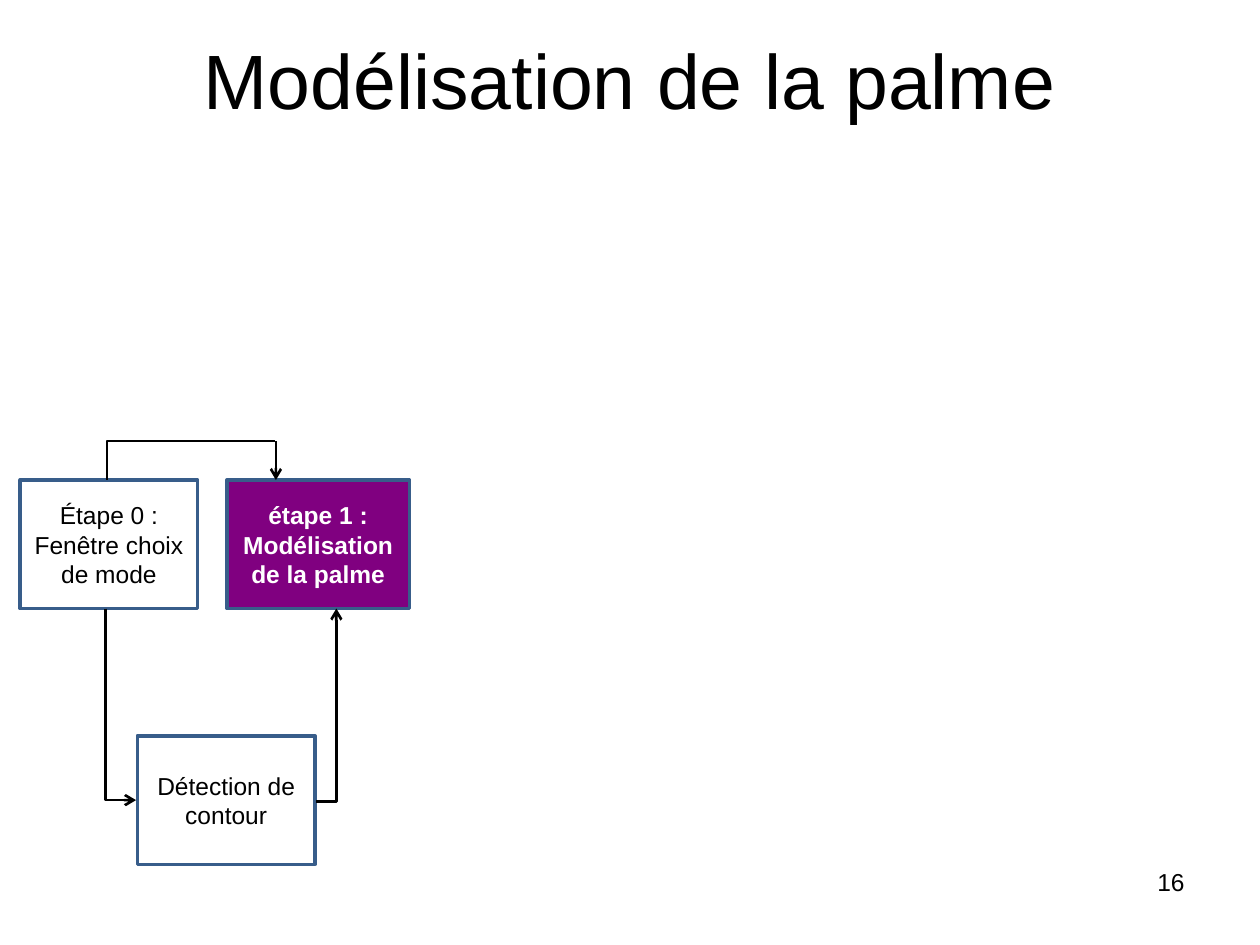
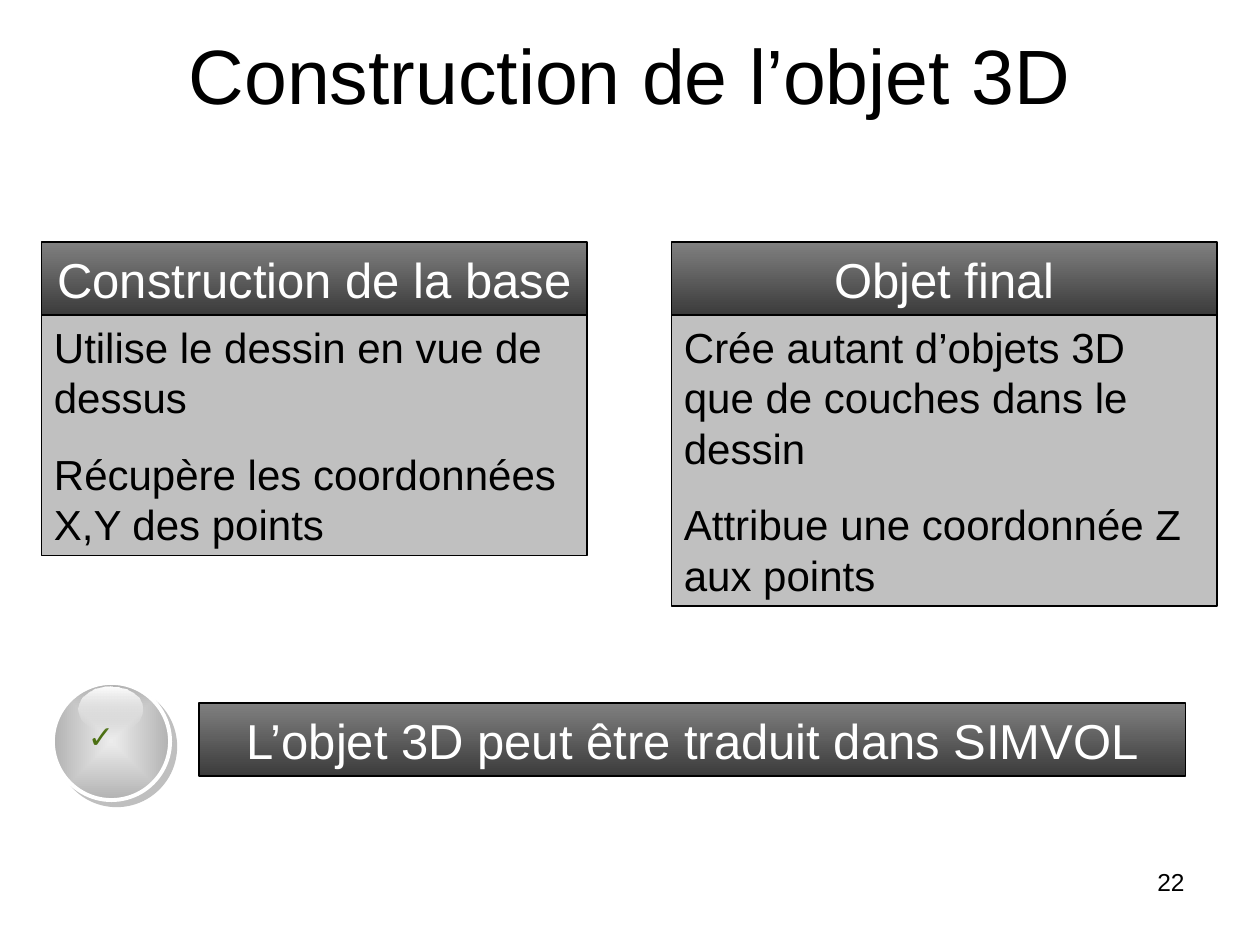
"""Two slides on palm modelling: the step diagram and the 3D object."""
from lxml import etree
from pptx import Presentation
from pptx.dml.color import RGBColor
from pptx.enum.shapes import MSO_CONNECTOR, MSO_SHAPE
from pptx.enum.text import MSO_ANCHOR, PP_ALIGN
from pptx.oxml import parse_xml
from pptx.oxml.ns import nsdecls, qn
from pptx.util import Inches, Pt

RECT, OVAL = MSO_SHAPE.RECTANGLE, MSO_SHAPE.OVAL
LINE, ELBOW = MSO_CONNECTOR.STRAIGHT, MSO_CONNECTOR.ELBOW
TOP, MIDDLE = MSO_ANCHOR.TOP, MSO_ANCHOR.MIDDLE
LEFT, CENTER, RIGHT = PP_ALIGN.LEFT, PP_ALIGN.CENTER, PP_ALIGN.RIGHT
FONT = "Arial"
HEX = {
    "black": "000000", "white": "FFFFFF", "purple": "800080", "edge": "385D8A",
    "silver": "C0C0C0", "gray": "808080", "dark": "3B3B3B", "green": "4C7013",
    "pearl": "ECECEC", "steel": "B2B2B2", "mist": "E3E3E3",
}
RGB = {name: RGBColor.from_string(code) for name, code in HEX.items()}


def write(shape, lines, size, color, align=CENTER, anchor=MIDDLE, bold=False):
    frame = shape.text_frame
    frame.text = "\n".join(lines)
    frame.word_wrap = True
    frame.vertical_anchor = anchor
    for i, para in enumerate(frame.paragraphs):
        para.alignment = align
        para.space_before = Pt(15 if i else 0)
        for run in para.runs:
            run.font.name = FONT
            run.font.size = Pt(size)
            run.font.bold = bold
            run.font.color.rgb = RGB[color]


def draw(slide, kind, place, fill, edge=None, width=0.75):
    shape = slide.shapes.add_shape(kind, *map(Inches, place))
    shape.shadow.inherit = False
    if isinstance(fill, tuple):
        shape.fill.gradient()
        shape.fill.gradient_angle = 270
        for stop, name in zip(shape.fill.gradient_stops, fill):
            stop.color.rgb = RGB[name]
    else:
        shape.fill.solid()
        shape.fill.fore_color.rgb = RGB[fill]
    if edge:
        shape.line.color.rgb = RGB[edge]
        shape.line.width = Pt(width)
    else:
        shape.line.fill.background()
    return shape


deck = Presentation()
deck.slide_width, deck.slide_height = Inches(10), Inches(7.5)
heads = [
    ("Modélisation de la palme", "16", (0.75, 0, 8.5, 1.25)),
    ("Construction de l’objet 3D", "22", (0.5, 0, 9, 1.17)),
]
slides = []
for title, number, place in heads:
    slide = deck.slides.add_slide(deck.slide_layouts[5])
    head = slide.shapes.title
    head.left, head.top, head.width, head.height = map(Inches, place)
    write(head, [title], 44, "black")
    page = slide.shapes.add_textbox(*map(Inches, (7.17, 6.83, 2.33, 0.52)))
    write(page, [number], 14, "black", RIGHT, TOP)
    slides.append(slide)
steps, model = slides

boxes = [
    ("Étape 0 : Fenêtre choix de mode", 0.16, 3.81, 1.41, "white", "black"),
    ("étape 1 : Modélisation de la palme", 1.8, 3.81, 1.45, "purple", "white"),
    ("Détection de contour", 1.09, 5.84, 1.41, "white", "black"),
]
for text, left, top, width, fill, color in boxes:
    box = draw(steps, RECT, (left, top, width, 1.02), fill, "edge", 2)
    write(box, [text], 14, color, bold=fill == "purple")

links = [
    (ELBOW, 1.36, 2.99, 0.31, 1.33, 90, "HV", False),
    (LINE, 2.19, 3.5, 0, 0.31, 0, "", True),
    (ELBOW, 0.2, 5.47, 1.52, 0.24, 270, "H", True),
    (ELBOW, 2.51, 4.83, 0.16, 1.53, 0, "V", True),
]
for kind, left, top, width, height, turn, flips, arrow in links:
    ends = map(Inches, (left, top, left + width, top + height))
    link = steps.shapes.add_connector(kind, *ends)
    link.line.color.rgb = RGB["black"]
    link.line.width = Pt(1.5)
    props = link._element.spPr
    if kind == ELBOW:
        props.find(qn("a:prstGeom")).set("prst", "bentConnector2")
        frame = props.find(qn("a:xfrm"))
        frame.set("rot", str(turn * 60000))
        for flip in flips:
            frame.set("flip" + flip, "1")
    if arrow:
        etree.SubElement(props.find(qn("a:ln")), qn("a:tailEnd"), type="arrow")
    etree.SubElement(props, qn("a:effectLst"))

cards = [
    (0.33, 1.91, "Construction de la base",
     ["Utilise le dessin en vue de dessus",
      "Récupère les coordonnées X,Y des points"]),
    (5.33, 2.31, "Objet final",
     ["Crée autant d’objets 3D que de couches dans le dessin",
      "Attribue une coordonnée Z aux points"]),
]
bars = [(left, 1.92, 4.33, name) for left, _, name, _ in cards]
bars.append((1.58, 5.58, 7.83, "L’objet 3D peut être traduit dans SIMVOL"))
for left, height, _, lines in cards:
    body = draw(model, RECT, (left, 2.5, 4.33, height), "silver", "black")
    write(body, lines, 24, "black", LEFT)
for left, top, width, text in bars:
    bar = draw(model, RECT, (left, top, width, 0.58), ("gray", "dark"), "black")
    write(bar, [text], 28, "white")

ball = draw(model, OVAL, (0.42, 5.42, 0.93, 0.93), ("pearl", "steel"), "white", 2.25)
props = ball._element.spPr
grad = props.find(qn("a:gradFill"))
grad.replace(grad.find(qn("a:lin")), parse_xml(
    f'<a:path {nsdecls("a")} path="rect">'
    '<a:fillToRect l="50000" t="50000" r="50000" b="50000"/></a:path>'))
props.find(qn("a:effectLst")).append(parse_xml(
    f'<a:outerShdw {nsdecls("a")} dist="53340" dir="2700000">'
    f'<a:srgbClr val="{HEX["gray"]}"><a:alpha val="50000"/></a:srgbClr></a:outerShdw>'))

check = model.shapes.add_textbox(*map(Inches, (0.6, 5.64, 0.56, 0.49)))
write(check, ["✓"], 18, "green", LEFT, TOP)
check.text_frame.word_wrap = False

gloss = draw(model, OVAL, (0.62, 5.45, 0.51, 0.36), ("white", "mist"))
tint = gloss._element.spPr.findall(".//" + qn("a:srgbClr"))[-1]
etree.SubElement(tint, qn("a:alpha"), val="0")

deck.save("out.pptx")
